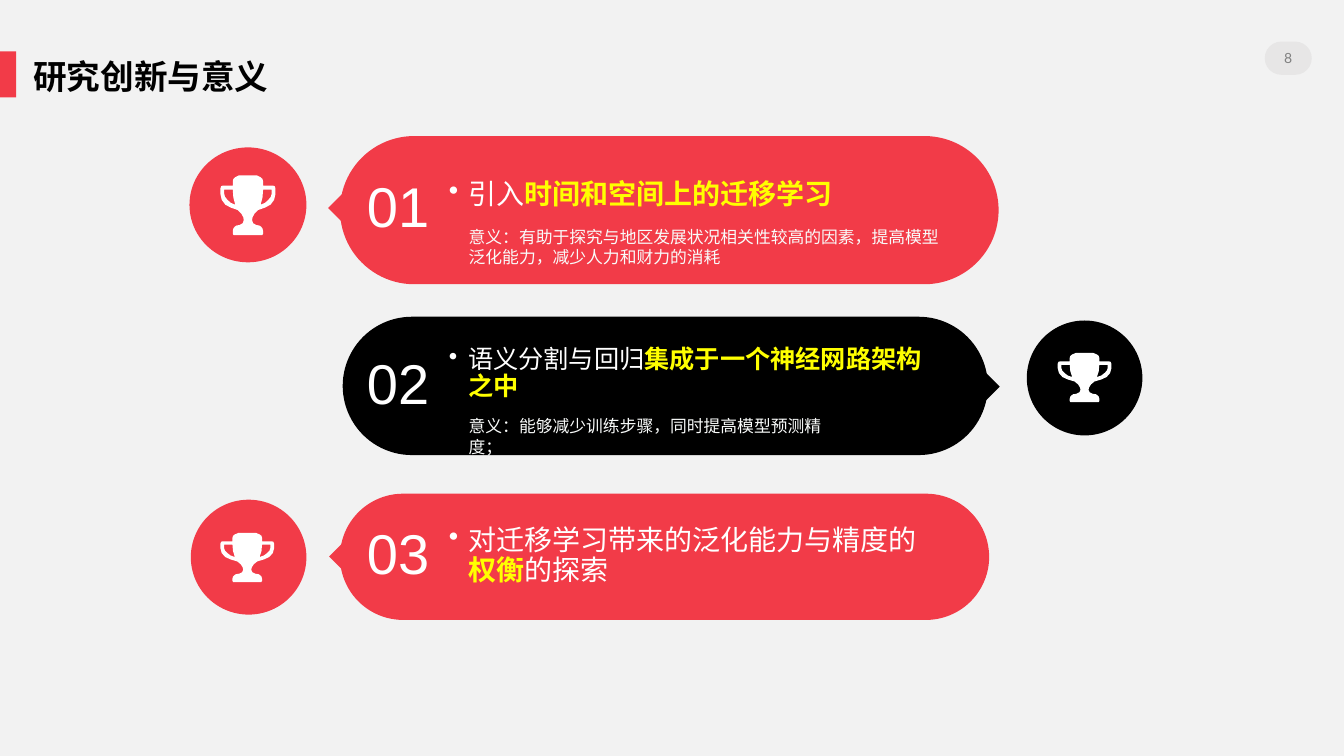
from dataclasses import dataclass
from typing import Any, Optional

from lxml import etree
from pptx import Presentation
from pptx.dml.color import RGBColor
from pptx.enum.shapes import MSO_SHAPE
from pptx.enum.text import MSO_ANCHOR, MSO_AUTO_SIZE, PP_ALIGN
from pptx.oxml.ns import qn
from pptx.util import Emu, Inches, Pt

CAPSULE, CIRCLE, RECTANGLE = MSO_SHAPE.ROUNDED_RECTANGLE, MSO_SHAPE.OVAL, MSO_SHAPE.RECTANGLE
MIDDLE, TOP = MSO_ANCHOR.MIDDLE, MSO_ANCHOR.TOP
CENTER, LEFT = PP_ALIGN.CENTER, PP_ALIGN.LEFT
GROW, FIXED = MSO_AUTO_SIZE.SHAPE_TO_FIT_TEXT, MSO_AUTO_SIZE.NONE
BLANK_LAYOUT = 6


@dataclass(frozen=True)
class Theme:
    background: str = "F2F2F2"
    red: str = "F23B48"
    black: str = "000000"
    white: str = "FFFFFF"
    yellow: str = "FFFF00"
    soft_white: str = "F9FBFA"
    pill: str = "E7E6E6"
    grey: str = "808080"
    cjk: str = "Noto Sans CJK SC"
    latin: str = "Arial"
    page_font: str = "Lato"
    title_size: int = 24
    number_size: int = 40
    note_size: int = 12
    page_size: int = 10


@dataclass(frozen=True)
class Area:
    """Left, top, width and height as percent of the slide."""
    left: float
    top: float
    width: float
    height: float

    def emu(self) -> tuple[Emu, Emu, Emu, Emu]:
        return (Emu(round(WIDTH * self.left / 100)), Emu(round(HEIGHT * self.top / 100)),
                Emu(round(WIDTH * self.width / 100)), Emu(round(HEIGHT * self.height / 100)))


@dataclass(frozen=True)
class Span:
    text: str
    color: str
    bold: bool = False


@dataclass(frozen=True)
class Style:
    size: int
    font: str
    inset: float = 0
    spacing: Optional[float] = 0.9
    bullet: bool = False
    anchor: Any = TOP
    align: Any = LEFT
    autosize: Any = GROW


@dataclass(frozen=True)
class Innovation:
    number: str
    color: str
    capsule: Area
    pointer: Area
    angle: int
    medal: Area
    trophy: Area
    number_area: Area
    headline_area: Area
    headline_size: int
    headline: tuple[Span, ...]
    note: str = ""
    note_area: Optional[Area] = None


THEME = Theme()
WIDTH, HEIGHT = Inches(13.33), Inches(7.5)
BULLET_INDENT = Inches(0.19)

CUP_PROFILE = [
    (0.33, 0), (0.46, 0.03), (0.53, 0.06), (0.55, 0.1), (0.55, 0.17), (0.9, 0.17),
    (0.97, 0.18), (1, 0.22), (1, 0.31), (0.95, 0.41), (0.82, 0.49), (0.62, 0.54),
    (0.37, 0.58), (0.24, 0.64), (0.17, 0.7), (0.15, 0.75), (0.19, 0.8), (0.3, 0.83),
    (0.42, 0.84), (0.48, 0.86), (0.53, 0.89), (0.55, 0.93), (0.55, 0.98), (0.52, 1),
]
HANDLE_GAP = [(0.55, 0.24), (0.53, 0.37), (0.46, 0.49), (0.62, 0.46), (0.74, 0.41),
              (0.83, 0.36), (0.86, 0.31), (0.86, 0.24)]

INNOVATIONS = [
    Innovation(
        "01", THEME.red, Area(25.3, 18, 49, 19.6), Area(24.7, 26.3, 2, 2.9), 45,
        Area(14.1, 19.5, 8.7, 15.2), Area(16.4, 23.2, 4.1, 7.9),
        Area(27.3, 23.7, 6.2, 8.1), Area(33.4, 23.9, 36.2, 4), 20,
        (Span("引入", THEME.white), Span("时间和空间上的迁移学习", THEME.yellow, True)),
        "意义：有助于探究与地区发展状况相关性较高的因素，提高模型泛化能力，减少人力和财力的消耗",
        Area(34.5, 29.3, 36.5, 6.7)),
    Innovation(
        "02", THEME.black, Area(25.5, 41.9, 48, 18.3), Area(72.4, 49.5, 1.6, 3.1), 315,
        Area(76.4, 42.4, 8.6, 15.2), Area(78.7, 46.7, 4, 6.5),
        Area(27.3, 47.1, 6.2, 8.1), Area(33.4, 45.9, 35.2, 7.2), 18,
        (Span("语义分割与回归", THEME.white),
         Span("集成于一个神经网路架构之中", THEME.yellow, True)),
        "意义：能够减少训练步骤，同时提高模型预测精度；",
        Area(34.5, 54.4, 28, 4)),
    Innovation(
        "03", THEME.red, Area(25.3, 65.3, 48.3, 16.7), Area(24.8, 72.3, 1.7, 2.8), 45,
        Area(14.2, 66.1, 8.6, 15.2), Area(16.4, 70.5, 4, 6.5),
        Area(27.3, 69.6, 6.2, 8.1), Area(33.4, 69.6, 35.1, 8.1), 20,
        (Span("对迁移学习带来的泛化能力与精度的", THEME.white),
         Span("权衡", THEME.yellow, True), Span("的探索", THEME.white))),
]


def set_values(target: Any, values: dict[str, Any]) -> None:
    for attribute, value in values.items():
        setattr(target, attribute, value)


def paint(shape: Any, color: str) -> None:
    shape.shadow.inherit = False
    shape.fill.solid()
    shape.fill.fore_color.rgb = RGBColor.from_string(color)
    shape.line.fill.background()


def draw_shape(slide: Any, preset: Any, area: Area, color: str, angle: int = 0) -> Any:
    shape = slide.shapes.add_shape(preset, *area.emu())
    paint(shape, color)
    shape.rotation = angle
    if preset == CAPSULE:
        shape.adjustments[0] = 0.5
    return shape


def write(holder: Any, spans: tuple[Span, ...], style: Style) -> None:
    frame = holder.text_frame
    inset = Inches(style.inset)
    set_values(frame, {
        "word_wrap": True, "auto_size": style.autosize, "vertical_anchor": style.anchor,
        "margin_left": inset, "margin_right": inset,
        "margin_top": inset, "margin_bottom": inset,
    })
    paragraph = frame.paragraphs[0]
    if style.bullet:
        properties = paragraph._p.get_or_add_pPr()
        properties.set("marL", str(BULLET_INDENT))
        properties.set("indent", str(-BULLET_INDENT))
        etree.SubElement(properties, qn("a:buChar")).set("char", "•")
    set_values(paragraph, {"alignment": style.align, "line_spacing": style.spacing})
    for span in spans:
        run = paragraph.add_run()
        run.text = span.text
        set_values(run.font, {"size": Pt(style.size), "name": style.font, "bold": span.bold})
        run.font.color.rgb = RGBColor.from_string(span.color)
        east_asian = etree.SubElement(run._r.get_or_add_rPr(), qn("a:ea"))
        east_asian.set("typeface", style.font)


def draw_text(slide: Any, area: Area, spans: tuple[Span, ...], style: Style) -> None:
    write(slide.shapes.add_textbox(*area.emu()), spans, style)


def draw_trophy(slide: Any, area: Area) -> None:
    left, top, width, height = area.emu()

    def mirror(points: list) -> list:
        return [(-x, y) for x, y in reversed(points)]

    def place(points: list) -> list:
        return [(round(left + width * (1 + x) / 2), round(top + height * y)) for x, y in points]

    cup = place(CUP_PROFILE + mirror(CUP_PROFILE))
    builder = slide.shapes.build_freeform(*cup[0])
    builder.add_line_segments(cup[1:])
    for gap in (place(HANDLE_GAP), place(mirror(HANDLE_GAP))):
        builder.move_to(*gap[0])
        builder.add_line_segments(gap[1:])
    paint(builder.convert_to_shape(), THEME.white)


def draw_innovation(slide: Any, item: Innovation) -> None:
    draw_shape(slide, CAPSULE, item.capsule, item.color)
    draw_shape(slide, RECTANGLE, item.pointer, item.color, item.angle)
    draw_text(slide, item.headline_area, item.headline,
              Style(item.headline_size, THEME.cjk, bullet=True))
    draw_text(slide, item.number_area, (Span(item.number, THEME.white),),
              Style(THEME.number_size, THEME.latin))
    draw_shape(slide, CIRCLE, item.medal, item.color)
    draw_trophy(slide, item.trophy)
    if item.note_area:
        draw_text(slide, item.note_area, (Span(item.note, THEME.soft_white),),
                  Style(THEME.note_size, THEME.cjk, inset=0.05, spacing=None))


def main() -> None:
    deck = Presentation()
    set_values(deck, {"slide_width": WIDTH, "slide_height": HEIGHT})
    slide = deck.slides.add_slide(deck.slide_layouts[BLANK_LAYOUT])
    slide.background.fill.solid()
    slide.background.fill.fore_color.rgb = RGBColor.from_string(THEME.background)
    draw_shape(slide, RECTANGLE, Area(0, 6.8, 1.2, 6.1), THEME.red)
    page = draw_shape(slide, CAPSULE, Area(94.1, 5.5, 3.5, 4.4), THEME.pill)
    write(page, (Span("8", THEME.grey),), Style(
        THEME.page_size, THEME.page_font, spacing=None,
        anchor=MIDDLE, align=CENTER, autosize=FIXED))
    draw_text(slide, Area(2.1, 7.3, 31.3, 6.1), (Span("研究创新与意义", THEME.black, True),),
              Style(THEME.title_size, THEME.cjk, inset=0.05))
    for item in INNOVATIONS:
        draw_innovation(slide, item)
    deck.save("out.pptx")


if __name__ == "__main__":
    main()
